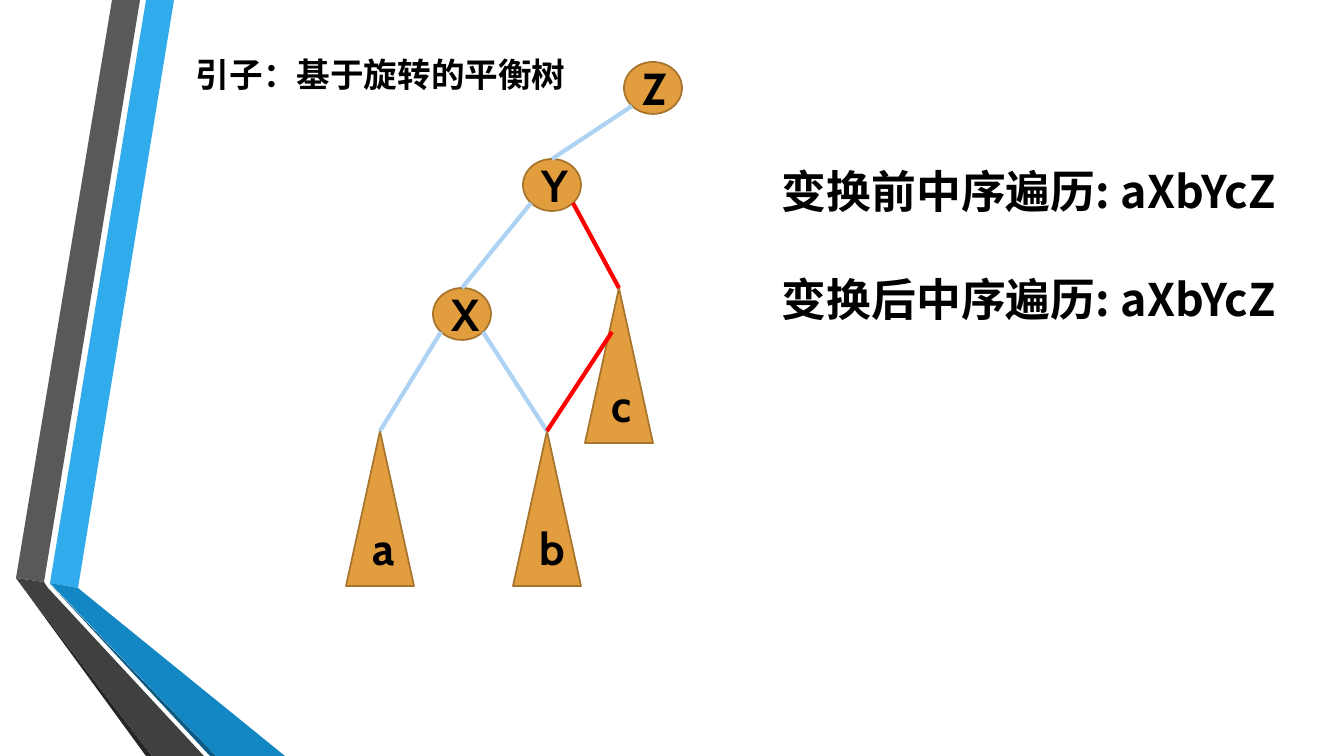
from lxml import etree
from pptx import Presentation, util as u
from pptx.dml.color import RGBColor
from pptx.enum import shapes, text
from pptx.oxml.ns import qn

PX = 914400 / 100.8  # EMU per pixel
COLORS = {
    "blue": "30ACEC", "grey": "595959", "black_edge": "262626",
    "navy": "0C5A82", "deep_blue": "1287C3", "charcoal": "404040",
    "node": "E29D3E", "node_line": "A7742E",
    "edge": "AED2F4", "moved_edge": "FF0000", "text": "000000",
}
CJK = "Noto Sans CJK SC"


def px(*lengths):
    return [u.Emu(round(length * PX)) for length in lengths]


def write(box, words, size=32, font="Cabin", align=None,
          anchor=text.MSO_ANCHOR.TOP, grow=False):
    frame = box.text_frame
    frame.word_wrap = True
    frame.vertical_anchor = anchor
    if grow:
        frame.auto_size = text.MSO_AUTO_SIZE.SHAPE_TO_FIT_TEXT
    para = frame.paragraphs[0]
    para.alignment = align
    span = para.add_run()
    span.text = words
    span.font.size = u.Pt(size)
    span.font.bold = True
    span.font.name = font
    span.font.color.rgb = RGBColor.from_string(COLORS["text"])
    east_asian = etree.SubElement(span.font._element, qn("a:ea"))
    east_asian.set("typeface", CJK)


deck = Presentation()
deck.slide_width, deck.slide_height = px(1344, 756)
page = deck.slides.add_slide(deck.slide_layouts[6])

# Folded ribbons on the left
ribbons = [
    ("blue", [(50, 583), (78, 588), (174, 0), (146, 0)]),
    ("grey", [(140, 0), (112, 0), (16, 578), (44, 582)]),
    ("black_edge", [(16, 578), (146, 756), (152, 756)]),
    ("navy", [(50, 584), (210, 756), (216, 756)]),
    ("deep_blue", [(50, 583), (216, 756), (285, 756), (78, 588)]),
    ("charcoal", [(204, 756), (48, 588), (44, 582), (16, 578), (152, 756)]),
]
for color, points in ribbons:
    builder = page.shapes.build_freeform(*points[0], scale=PX)
    builder.add_line_segments(points[1:], close=True)
    ribbon = builder.convert_to_shape()
    ribbon.shadow.inherit = False
    ribbon.fill.solid()
    ribbon.fill.fore_color.rgb = RGBColor.from_string(COLORS[color])
    ribbon.line.fill.background()

# Tree nodes and subtrees, each placed by the middle of its top
tops = {"Z": (653, 62), "Y": (552, 159), "X": (462, 288),
        "a": (380, 431), "b": (547, 431), "c": (619, 288)}
for name, (center, top) in tops.items():
    if name.isupper():
        kind, width, height = shapes.MSO_SHAPE.OVAL, 58, 52
    else:
        kind, width, height = shapes.MSO_SHAPE.ISOSCELES_TRIANGLE, 68, 155
    node = page.shapes.add_shape(
        kind, *px(center - width / 2, top, width, height))
    node.shadow.inherit = False
    node.fill.solid()
    node.fill.fore_color.rgb = RGBColor.from_string(COLORS["node"])
    node.line.color.rgb = RGBColor.from_string(COLORS["node_line"])
    node.line.width = u.Pt(1.25)
    write(node, name, align=text.PP_ALIGN.CENTER, anchor=text.MSO_ANCHOR.MIDDLE)

# Edges leave a parent at its lower left (-1) or lower right (1)
edges = [("Z", -1, "Y", "edge"), ("Y", -1, "X", "edge"),
         ("X", -1, "a", "edge"), ("X", 1, "b", "edge"),
         ("Y", 1, "c", "moved_edge")]
lines = [((tops[parent][0] + side * 21, tops[parent][1] + 44), tops[child], color)
         for parent, side, child, color in edges]
lines.append(((612, 332), tops["b"], "moved_edge"))
for start, end, color in lines:
    edge = page.shapes.add_connector(
        shapes.MSO_CONNECTOR.STRAIGHT, *px(*start, *end))
    edge.line.color.rgb = RGBColor.from_string(COLORS[color])
    edge.line.width = u.Pt(3)
    etree.SubElement(edge._element.spPr, qn("a:effectLst"))

# Title and traversal results
captions = [
    ("引子：基于旋转的平衡树", (186, 49, 394, 50), 24, "Cabin"),
    ("变换前中序遍历: aXbYcZ", (772, 159, 572, 65), 32, CJK),
    ("变换后中序遍历: aXbYcZ", (772, 267, 572, 65), 32, CJK),
]
for words, place, size, font in captions:
    write(page.shapes.add_textbox(*px(*place)), words, size, font, grow=True)

deck.save("out.pptx")
